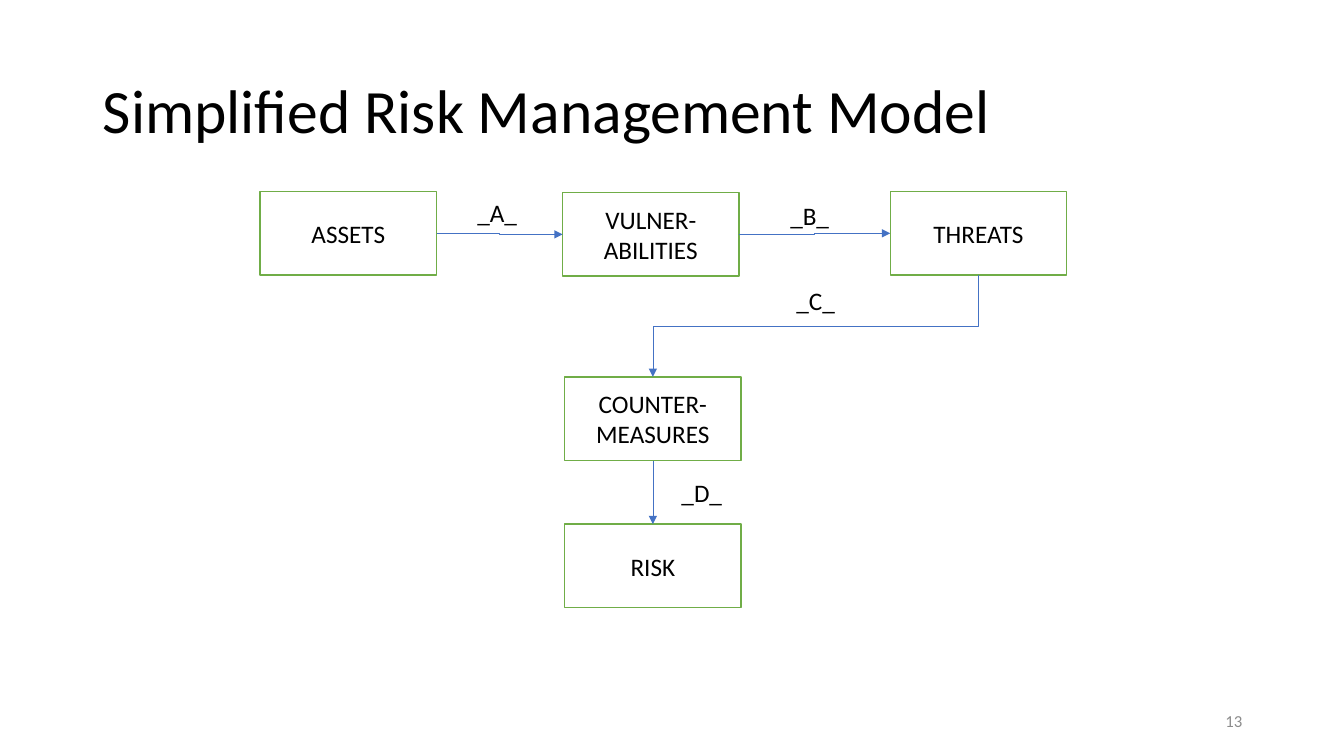
from dataclasses import dataclass

from lxml import etree
from pptx import Presentation
from pptx import util as u
from pptx.dml.color import RGBColor
from pptx.enum import shapes, text
from pptx.oxml.ns import qn

EMU_PER_PX = 9144
BOX_W, BOX_H = 175, 83
LABEL_W, LABEL_H = 142, 40
TOP, RIGHT, BOTTOM, LEFT = 0, 3, 2, 1


@dataclass
class Stage:
    name: str
    left: int
    top: int


@dataclass
class Step:
    label: str
    left: int
    top: int
    source: str
    target: str
    downward: bool


STAGES = [
    Stage("ASSETS", 258, 190),
    Stage("VULNER-ABILITIES", 558, 191),
    Stage("THREATS", 883, 190),
    Stage("COUNTER-MEASURES", 560, 374),
    Stage("RISK", 560, 520),
]
STEPS = [
    Step("_A_", 422, 191, "ASSETS", "VULNER-ABILITIES", False),
    Step("_B_", 732, 194, "VULNER-ABILITIES", "THREATS", False),
    Step("_C_", 738, 278, "THREATS", "COUNTER-MEASURES", True),
    Step("_D_", 625, 469, "COUNTER-MEASURES", "RISK", True),
]


def px(length: int) -> u.Emu:
    return u.Emu(length * EMU_PER_PX)


def colour(hex_code: str) -> RGBColor:
    return RGBColor.from_string(hex_code)


def write(shape, wording: str, *, size: int = 18, ink: str = "000000",
          align=text.PP_ALIGN.CENTER, anchor=text.MSO_ANCHOR.MIDDLE,
          spacing: float = 1.0) -> None:
    frame = shape.text_frame
    frame.word_wrap = True
    frame.auto_size = text.MSO_AUTO_SIZE.NONE
    frame.vertical_anchor = anchor
    paragraph = frame.paragraphs[0]
    paragraph.alignment = align
    paragraph.line_spacing = spacing
    run = paragraph.add_run()
    run.text = wording
    run.font.name = "Calibri"
    run.font.size = u.Pt(size)
    run.font.color.rgb = colour(ink)


def draw_stage(slide, stage: Stage):
    box = slide.shapes.add_shape(shapes.MSO_SHAPE.RECTANGLE, px(stage.left), px(stage.top),
                                 px(BOX_W), px(BOX_H))
    box.shadow.inherit = False
    box.fill.solid()
    box.fill.fore_color.rgb = colour("FFFFFF")
    box.line.color.rgb = colour("70AD47")
    box.line.width = u.Pt(1)
    write(box, stage.name)
    return box


def turn_downward(arrow) -> None:
    mid_x = (arrow.begin_x + arrow.end_x) // 2
    mid_y = (arrow.begin_y + arrow.end_y) // 2
    half_dx = (arrow.end_x - arrow.begin_x) // 2
    half_dy = (arrow.end_y - arrow.begin_y) // 2
    arrow.begin_x, arrow.begin_y = mid_x - half_dy, mid_y + half_dx
    arrow.end_x, arrow.end_y = mid_x + half_dy, mid_y - half_dx
    arrow._element.spPr.find(qn("a:xfrm")).set("rot", str(90 * 60000))


def draw_step(slide, step: Step, boxes: dict) -> None:
    arrow = slide.shapes.add_connector(shapes.MSO_CONNECTOR.ELBOW, 0, 0, 0, 0)
    arrow.begin_connect(boxes[step.source], BOTTOM if step.downward else RIGHT)
    arrow.end_connect(boxes[step.target], TOP if step.downward else LEFT)
    if step.downward:
        turn_downward(arrow)
    arrow.line.color.rgb = colour("4472C4")
    arrow.line.width = u.Pt(0.5)
    etree.SubElement(arrow.line._get_or_add_ln(), qn("a:tailEnd"), type="triangle")
    etree.SubElement(arrow._element.spPr, qn("a:effectLst"))
    label = slide.shapes.add_textbox(px(step.left), px(step.top), px(LABEL_W), px(LABEL_H))
    write(label, step.label, anchor=text.MSO_ANCHOR.TOP)


def main() -> None:
    deck = Presentation()
    deck.slide_width, deck.slide_height = px(1333), px(750)
    slide = deck.slides.add_slide(deck.slide_layouts[5])

    title = slide.shapes.title
    title.left, title.top, title.width, title.height = px(92), px(40), px(1150), px(145)
    write(title, "Simplified Risk Management Model", size=44,
          align=text.PP_ALIGN.LEFT, spacing=0.9)

    page_number = slide.shapes.add_textbox(px(942), px(695), px(300), px(40))
    write(page_number, "13", size=12, ink="8C8C8C", align=text.PP_ALIGN.RIGHT)

    boxes = {stage.name: draw_stage(slide, stage) for stage in STAGES}
    for step in STEPS:
        draw_step(slide, step, boxes)

    deck.save("out.pptx")


if __name__ == "__main__":
    main()
